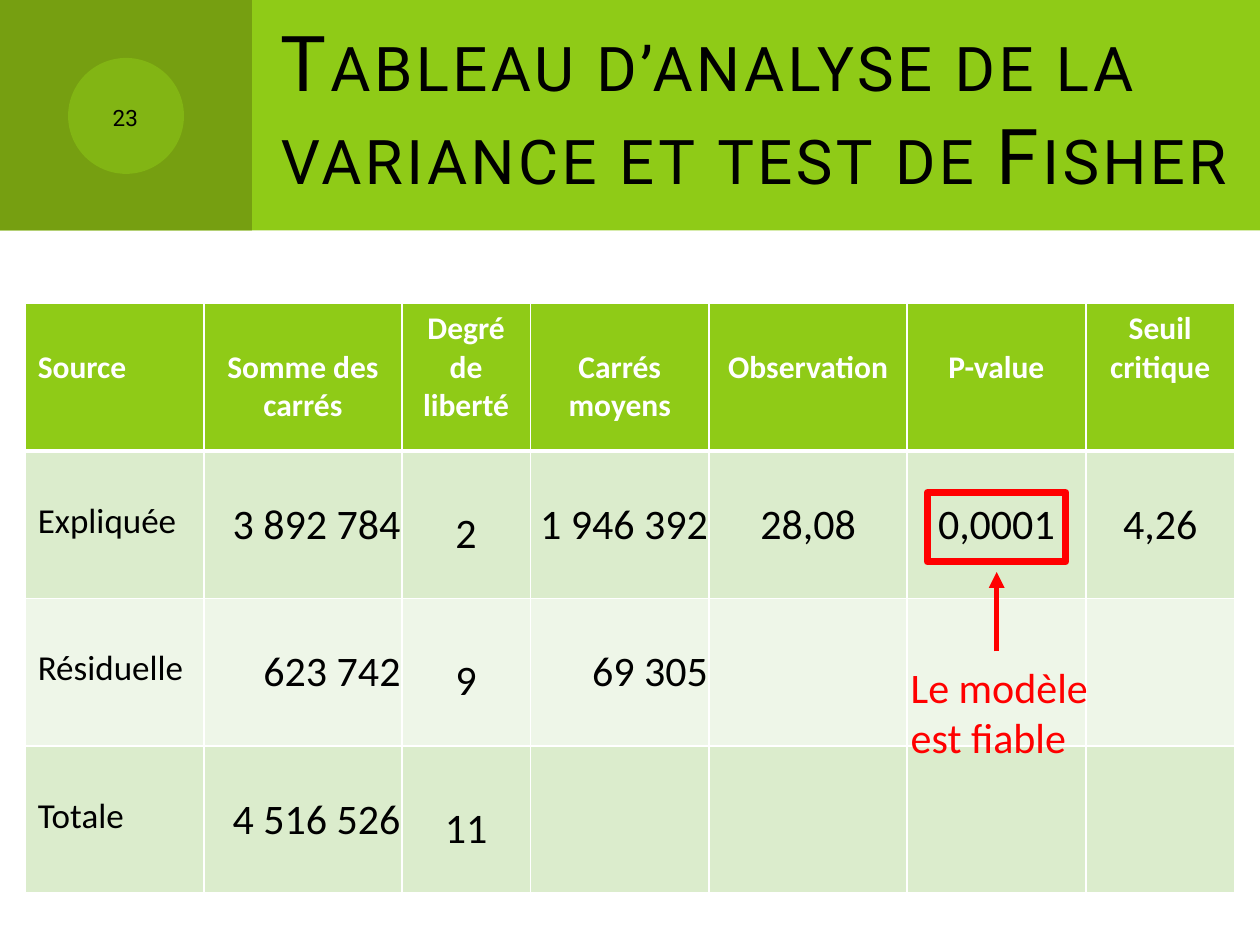
from dataclasses import dataclass

from lxml import etree
from pptx import Presentation
from pptx.dml.color import RGBColor
from pptx.enum.shapes import MSO_CONNECTOR, MSO_SHAPE
from pptx.enum.text import MSO_ANCHOR, MSO_AUTO_SIZE, PP_ALIGN
from pptx.oxml.ns import qn
from pptx.util import Inches, Pt

LEFT, CENTER, RIGHT = PP_ALIGN.LEFT, PP_ALIGN.CENTER, PP_ALIGN.RIGHT
TOP, MIDDLE = MSO_ANCHOR.TOP, MSO_ANCHOR.MIDDLE
RECTANGLE, OVAL = MSO_SHAPE.RECTANGLE, MSO_SHAPE.OVAL
STRAIGHT = MSO_CONNECTOR.STRAIGHT
NO_FIT, GROW = MSO_AUTO_SIZE.NONE, MSO_AUTO_SIZE.SHAPE_TO_FIT_TEXT


@dataclass(frozen=True)
class Theme:
    green: str = "8FCB17"
    dark_green: str = "769F11"
    bands: tuple = ("DBECCC", "EEF6E8")
    white: str = "FFFFFF"
    black: str = "000000"
    red: str = "FF0000"
    heading_font: str = "Roboto"
    body_font: str = "Calibri"
    title_size: int = 44
    number_size: int = 16
    header_size: int = 18
    label_size: int = 20
    value_size: int = 24


THEME = Theme()
COLUMN_WIDTHS = [1.42, 1.57, 1.02, 1.42, 1.57, 1.42, 1.18]
ROW_HEIGHT = 1.17
LINE_FACTOR = 1.22 / 72  # height of a line of body text, in inches per point
HEADERS = ["Source", "Somme des carrés", "Degré de liberté", "Carrés moyens",
           "Observation", "P-value", "Seuil critique"]
TOP_HEADERS = {"Degré de liberté", "Seuil critique"}
ROWS = [
    ["Expliquée", "3 892 784", "2", "1 946 392", "28,08", "0,0001", "4,26"],
    ["Résiduelle", "623 742", "9", "69 305", "", "", ""],
    ["Totale", "4 516 526", "11", "", "", "", ""],
]
VALUE_ALIGNMENTS = [LEFT, RIGHT, CENTER, RIGHT, CENTER, CENTER, CENTER]


def rgb(value):
    return RGBColor.from_string(value)


def apply(target, values):
    for name, value in values.items():
        setattr(target, name, value)


class SlideBuilder:
    def __init__(self, slide, theme):
        self.slide = slide
        self.theme = theme

    def fill_text(self, frame, text, size, color, font=None, alignment=LEFT,
                  bold=False, small_caps=False, spacing=0):
        frame.text = text
        paragraph = frame.paragraphs[0]
        paragraph.alignment = alignment
        for run in paragraph.runs:
            apply(run.font, {"size": Pt(size), "bold": bold,
                             "name": font or self.theme.body_font})
            run.font.color.rgb = rgb(color)
            properties = run._r.get_or_add_rPr()
            if small_caps:
                properties.set("cap", "small")
            if spacing:
                properties.set("spc", str(spacing * 100))

    def shape(self, kind, box, fill=None, line=None, width=0, alpha=None):
        shape = self.slide.shapes.add_shape(kind, *map(Inches, box))
        shape.shadow.inherit = False
        if fill:
            shape.fill.solid()
            shape.fill.fore_color.rgb = rgb(fill)
        else:
            shape.fill.background()
        if line:
            shape.line.color.rgb = rgb(line)
            shape.line.width = Pt(width)
        else:
            shape.line.fill.background()
        if alpha:
            color = shape._element.spPr.find(".//" + qn("a:srgbClr"))
            etree.SubElement(color, qn("a:alpha"), val=str(alpha * 1000))

    def title(self, box, text):
        title = self.slide.shapes.title
        names = ("left", "top", "width", "height")
        apply(title, dict(zip(names, map(Inches, box))))
        self.slide.shapes._spTree.append(title._element)  # in front of the bands
        apply(title.text_frame, {"auto_size": NO_FIT, "word_wrap": True,
                                 "vertical_anchor": MIDDLE})
        self.fill_text(title.text_frame, text, self.theme.title_size,
                       self.theme.black, self.theme.heading_font,
                       small_caps=True, spacing=2)

    def text(self, box, text, size, color, anchor=TOP, fit=NO_FIT, **style):
        frame = self.slide.shapes.add_textbox(*map(Inches, box)).text_frame
        apply(frame, {"word_wrap": True, "vertical_anchor": anchor, "auto_size": fit})
        self.fill_text(frame, text, size, color, **style)

    def arrow(self, start, end, color, width):
        arrow = self.slide.shapes.add_connector(STRAIGHT, *map(Inches, start + end))
        arrow.line.color.rgb = rgb(color)
        arrow.line.width = Pt(width)
        properties = arrow._element.spPr
        etree.SubElement(properties.find(qn("a:ln")), qn("a:tailEnd"), type="triangle")
        etree.SubElement(properties, qn("a:effectLst"))

    def cell(self, cell, fill, borders):
        properties = cell._tc.get_or_add_tcPr()
        for side, width in borders.items():
            line = etree.SubElement(properties, qn("a:ln" + side), w=str(Pt(width)))
            solid = etree.SubElement(line, qn("a:solidFill"))
            etree.SubElement(solid, qn("a:srgbClr"), val=self.theme.white)
        cell.fill.solid()
        cell.fill.fore_color.rgb = rgb(fill)

    def header_cell(self, cell, text):
        size = self.theme.header_size
        self.cell(cell, self.theme.green, {"L": 1, "R": 1, "T": 1, "B": 3})
        if text not in TOP_HEADERS:  # one line lower than the three-line heading
            cell.margin_top = Inches(0.05 + size * LINE_FACTOR)
        self.fill_text(cell.text_frame, text, size, self.theme.white, bold=True,
                       alignment=LEFT if text == HEADERS[0] else CENTER)

    def value_cell(self, cell, text, row, column):
        theme = self.theme
        size = theme.value_size if column else theme.label_size
        self.cell(cell, theme.bands[row % 2],
                  {"L": 1, "R": 1, "T": 1 if row else 3, "B": 1})
        if column in (0, 2):
            cell.margin_top = Inches(0.05 + size * LINE_FACTOR)
        elif text:
            margin = Inches(0.01)
            apply(cell, {"vertical_anchor": MIDDLE, "margin_left": margin,
                         "margin_right": margin, "margin_top": margin,
                         "margin_bottom": 0})
        self.fill_text(cell.text_frame, text, size, theme.black,
                       alignment=VALUE_ALIGNMENTS[column])

    def table(self, left, top):
        count = len(ROWS) + 1
        table = self.slide.shapes.add_table(
            count, len(HEADERS), Inches(left), Inches(top),
            Inches(sum(COLUMN_WIDTHS)), Inches(ROW_HEIGHT * count)).table
        for column, width in zip(table.columns, COLUMN_WIDTHS):
            column.width = Inches(width)
        for row in table.rows:
            row.height = Inches(ROW_HEIGHT)
        for column, text in enumerate(HEADERS):
            self.header_cell(table.cell(0, column), text)
        for row, values in enumerate(ROWS):
            for column, text in enumerate(values):
                self.value_cell(table.cell(row + 1, column), text, row, column)


def main():
    presentation = Presentation()
    presentation.slide_width, presentation.slide_height = Inches(10), Inches(7.5)
    slide = presentation.slides.add_slide(presentation.slide_layouts[5])
    builder = SlideBuilder(slide, THEME)

    # Heading band with the slide number
    builder.shape(RECTANGLE, (0, 0, 10, 1.83), THEME.green)
    builder.shape(RECTANGLE, (0, 0, 2, 1.83), THEME.dark_green)
    builder.shape(OVAL, (0.54, 0.46, 0.92, 0.92), THEME.green, alpha=50)
    builder.title((2.13, 0, 7.87, 1.7),
                  "Tableau d’analyse de la variance et test de Fisher")
    builder.text((0.58, 0.58, 0.83, 0.67), "23", THEME.number_size, THEME.black,
                 anchor=MIDDLE, font=THEME.heading_font, alignment=CENTER,
                 small_caps=True)

    # Analysis of variance
    builder.table(0.2, 2.41)

    # Comment on the p-value
    builder.shape(RECTANGLE, (7.36, 3.91, 1.1, 0.55), line=THEME.red, width=4)
    builder.arrow((7.91, 5.17), (7.91, 4.54), THEME.red, 3)
    builder.text((7.13, 5.2, 1.73, 0.91), "Le modèle est fiable",
                 THEME.value_size, THEME.red, fit=GROW)

    presentation.save("out.pptx")


if __name__ == "__main__":
    main()
